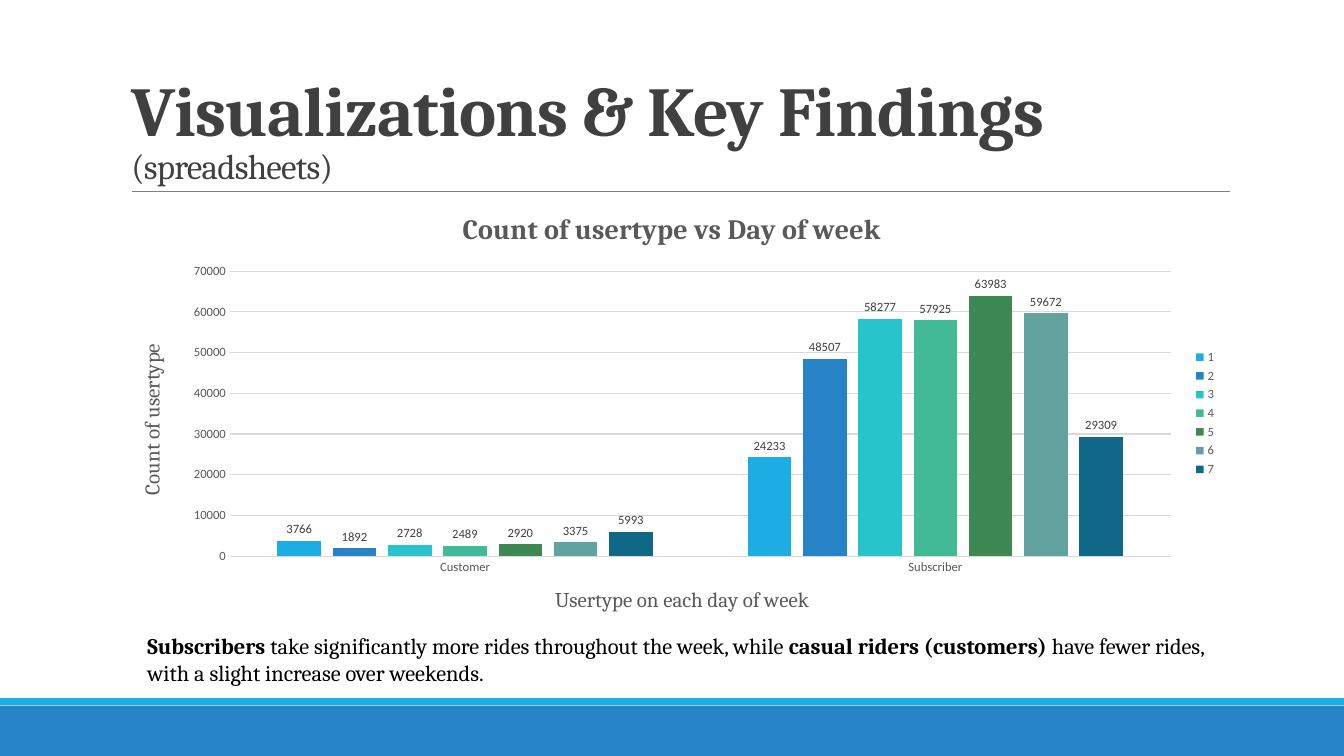
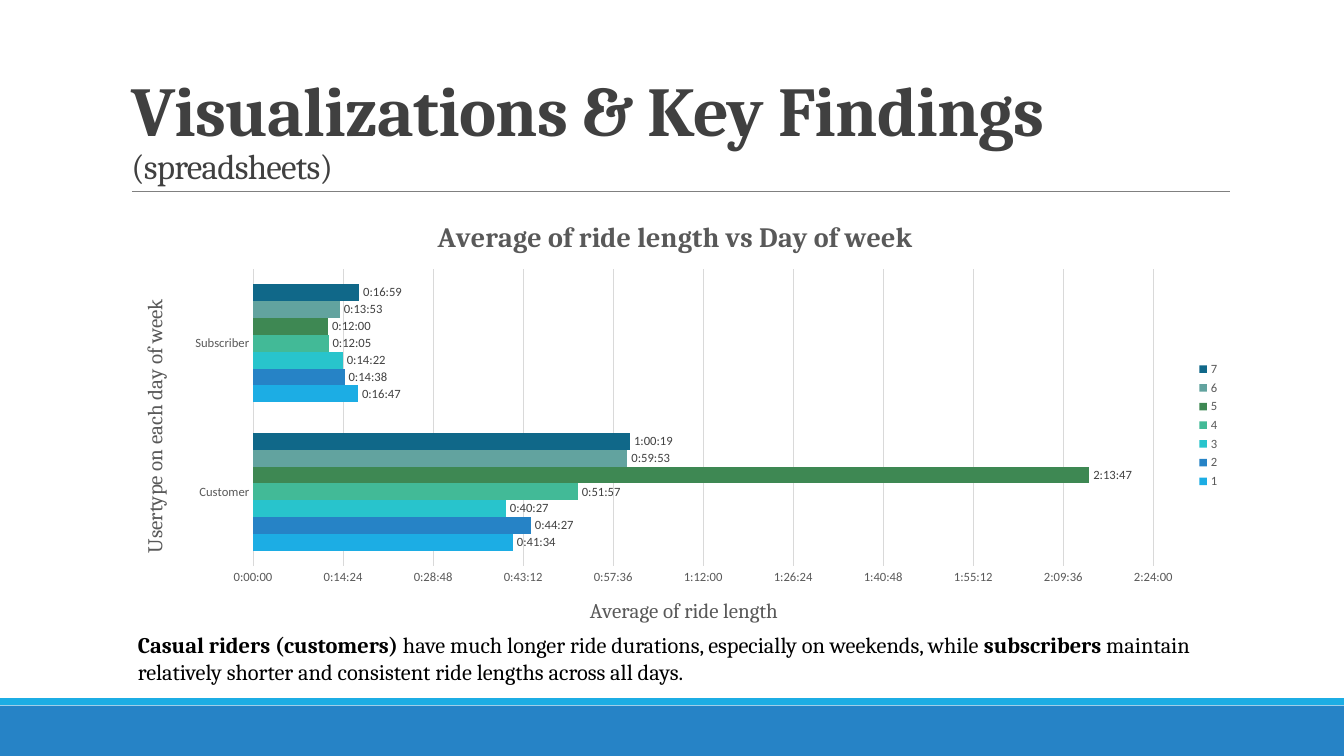
from math import ceil

from lxml.etree import SubElement
from pptx import Presentation
from pptx.chart.data import CategoryChartData
from pptx.dml.color import RGBColor
from pptx.enum.chart import (XL_CHART_TYPE, XL_LABEL_POSITION,
                             XL_LEGEND_POSITION, XL_TICK_MARK)
from pptx.enum.shapes import MSO_CONNECTOR, MSO_SHAPE
from pptx.enum.text import MSO_ANCHOR
from pptx.oxml.ns import qn
from pptx.util import Pt

HEAD, BODY = "Cambria", "Calibri"
BLACK, DARK, GRAY = "000000", "404040", "595959"
RULE, GRID = "808080", "D9D9D9"
SKY, BLUE = "1CADE4", "2683C6"
HUES = [SKY, BLUE, "28C4CC", "42BA97", "3E8853", "62A39F", "106889"]
DAYS = range(1, 8)
TIME = "h:mm:ss"
WIDE, HIGH = 792, 316.8  # chart size


def rgb(code):
    return RGBColor.from_string(code)


def style(font, size, color, name=BODY, bold=False):
    font.size, font.name, font.bold = Pt(size), name, bold
    font.color.rgb = rgb(color)


def place(node, index, *spot):
    """Fix a chart part at left, top and, if given, width, height."""
    for old in node.findall(qn("c:layout")):
        node.remove(old)
    box = node.makeelement(qn("c:layout"), {})
    node.insert(index, box)
    inner = SubElement(box, qn("c:manualLayout"))
    if len(spot) == 4:
        SubElement(inner, qn("c:layoutTarget"), val="inner")
    for key in "xy":
        SubElement(inner, qn(f"c:{key}Mode"), val="edge")
    for key, value, full in zip("xywh", spot, (WIDE, HIGH) * 2):
        SubElement(inner, qn(f"c:{key}"), val=f"{value / full:.4f}")


def days(clock):
    """Turn h:mm:ss into a fraction of a day, never short of the second."""
    hour, minute, second = map(int, clock.split(":"))
    total = hour * 3600 + minute * 60 + second
    return round(ceil(total / 86400 * 1e6) / 1e6, 6)


class Deck:
    def __init__(self):
        self.prs = Presentation()
        self.prs.slide_width, self.prs.slide_height = Pt(960), Pt(540)

    def start(self):
        """Add a slide with its bands, rule and title."""
        self.slide = self.prs.slides.add_slide(self.prs.slide_layouts[6])
        self.band(504, 36, BLUE)
        self.band(498.7, 5, SKY)
        self.rule(94.2, 878.6, 136.6)
        frame = self.text(86.7, 22.3, WIDE, 114.5, [
            ("Visualizations & Key Findings ", 50, True),
            ("(spreadsheets)", 25, False)], DARK)
        frame.vertical_anchor = MSO_ANCHOR.BOTTOM
        line = frame.paragraphs[0]
        line.line_spacing = 0.85
        for run in line.runs:
            run.font._element.set("spc", "-50")

    def band(self, top, high, color):
        shape = self.slide.shapes.add_shape(
            MSO_SHAPE.RECTANGLE, 0, Pt(top), Pt(960), Pt(high))
        shape.shadow.inherit = False
        shape.fill.solid()
        shape.fill.fore_color.rgb = rgb(color)
        shape.line.fill.background()

    def rule(self, left, right, top):
        line = self.slide.shapes.add_connector(
            MSO_CONNECTOR.STRAIGHT, Pt(left), Pt(top), Pt(right), Pt(top))
        line.line.color.rgb = rgb(RULE)
        line.line.width = Pt(0.5)
        SubElement(line._element.spPr, qn("a:effectLst"))

    def text(self, left, top, wide, high, runs, color):
        box = self.slide.shapes.add_textbox(
            Pt(left), Pt(top), Pt(wide), Pt(high))
        frame = box.text_frame
        frame.word_wrap = True
        for words, size, bold in runs:
            run = frame.paragraphs[0].add_run()
            run.text = words
            style(run.font, size, color, HEAD, bold)
        return frame

    def note(self, left, top, *parts):
        """Add a caption whose parts turn from bold to plain and back."""
        runs = [(part, 16, i % 2 == 0) for i, part in enumerate(parts)]
        self.text(left, top, WIDE, 46, runs, BLACK)

    def label(self, title, words, size, spot, bold=False, turn=False):
        """Write and place a chart title or an axis title."""
        frame = title.text_frame
        frame.text = words
        style(frame.paragraphs[0].runs[0].font, size, GRAY, HEAD, bold)
        if turn:
            frame._txBody.bodyPr.set("rot", "-5400000")
            frame._txBody.bodyPr.set("vert", "horz")
        place(title._element, 1, *spot)

    def chart(self, kind, left, top, rows, form, titles, area, gap, lap,
              peak, step):
        data = CategoryChartData(number_format=form)
        data.categories = ["Customer", "Subscriber"]
        for day, row in zip(DAYS, rows):
            data.add_series(str(day), row)
        chart = self.slide.shapes.add_chart(
            kind, Pt(left), Pt(top), Pt(WIDE), Pt(HIGH), data).chart
        style(chart.font, 10, BLACK)

        # Titles and plot area
        flat = kind == XL_CHART_TYPE.BAR_CLUSTERED
        cat, val = chart.category_axis, chart.value_axis
        main, low, side = titles
        chart.has_title = True
        self.label(chart.chart_title, *main, bold=True)
        self.label((val if flat else cat).axis_title, *low)
        self.label((cat if flat else val).axis_title, *side, turn=True)
        place(chart._chartSpace.chart.plotArea, 0, *area)

        # Axes
        for axis in (cat, val):
            style(axis.tick_labels.font, 9, GRAY)
            axis.major_tick_mark = axis.minor_tick_mark = XL_TICK_MARK.NONE
        val.tick_labels.number_format = form
        val.tick_labels.number_format_is_linked = False
        val.minimum_scale, val.maximum_scale = 0, peak
        val.major_unit = step
        val.format.line.fill.background()
        val.has_major_gridlines = True
        cat.has_major_gridlines = False
        for line in (cat.format.line, val.major_gridlines.format.line):
            line.color.rgb = rgb(GRID)
            line.width = Pt(0.75)

        # Legend
        chart.has_legend = True
        chart.legend.position = XL_LEGEND_POSITION.RIGHT
        chart.legend.include_in_layout = False
        style(chart.legend.font, 9, GRAY)

        # Bars and values
        plot = chart.plots[0]
        plot.gap_width, plot.overlap = gap, lap
        plot.vary_by_categories = False
        for bar, hue in zip(plot.series, HUES):
            bar.format.fill.solid()
            bar.format.fill.fore_color.rgb = rgb(hue)
            bar.invert_if_negative = False
            tags = bar.data_labels
            tags.show_value = True
            tags.position = XL_LABEL_POSITION.OUTSIDE_END
            tags.number_format = form
            tags.number_format_is_linked = False
            style(tags.font, 9, DARK)


def main():
    deck = Deck()

    # Number of rides
    deck.start()
    rides = [(3766, 24233), (1892, 48507), (2728, 58277), (2489, 57925),
             (2920, 63983), (3375, 59672), (5993, 29309)]
    deck.chart(
        XL_CHART_TYPE.COLUMN_CLUSTERED, 84.2, 136.8, rides, "General",
        [("Count of usertype vs Day of week", 20, (242.6, 10.1)),
         ("Usertype on each day of week", 15, (309.6, 279.4)),
         ("Count of usertype", 15, (11.8, 106.1))],
        (80, 57, 672, 203.5), 219, -27, 70000, 10000)
    deck.note(98.2, 448.2, "Subscribers",
              " take significantly more rides throughout the week, while ",
              "casual riders (customers)",
              " have fewer rides, with a slight increase over weekends.")

    # Length of rides
    deck.start()
    times = [("0:41:34", "0:16:47"), ("0:44:27", "0:14:38"),
             ("0:40:27", "0:14:22"), ("0:51:57", "0:12:05"),
             ("2:13:47", "0:12:00"), ("0:59:53", "0:13:53"),
             ("1:00:19", "0:16:59")]
    deck.chart(
        XL_CHART_TYPE.BAR_CLUSTERED, 86.4, 145.4,
        [map(days, row) for row in times], TIME,
        [("Average of ride length vs Day of week", 20, (222.6, 7.7)),
         ("Average of ride length", 15, (332.2, 278.7)),
         ("Usertype on each day of week", 15, (11.5, 65.5))],
        (94.4, 46.8, 643, 212.3), 182, 0, 0.1, 0.01)
    deck.note(91.4, 447.4, "Casual riders (customers)",
              " have much longer ride durations, especially on weekends, while ",
              "subscribers",
              " maintain relatively shorter and consistent ride lengths"
              " across all days.")

    deck.prs.save("out.pptx")


if __name__ == "__main__":
    main()
